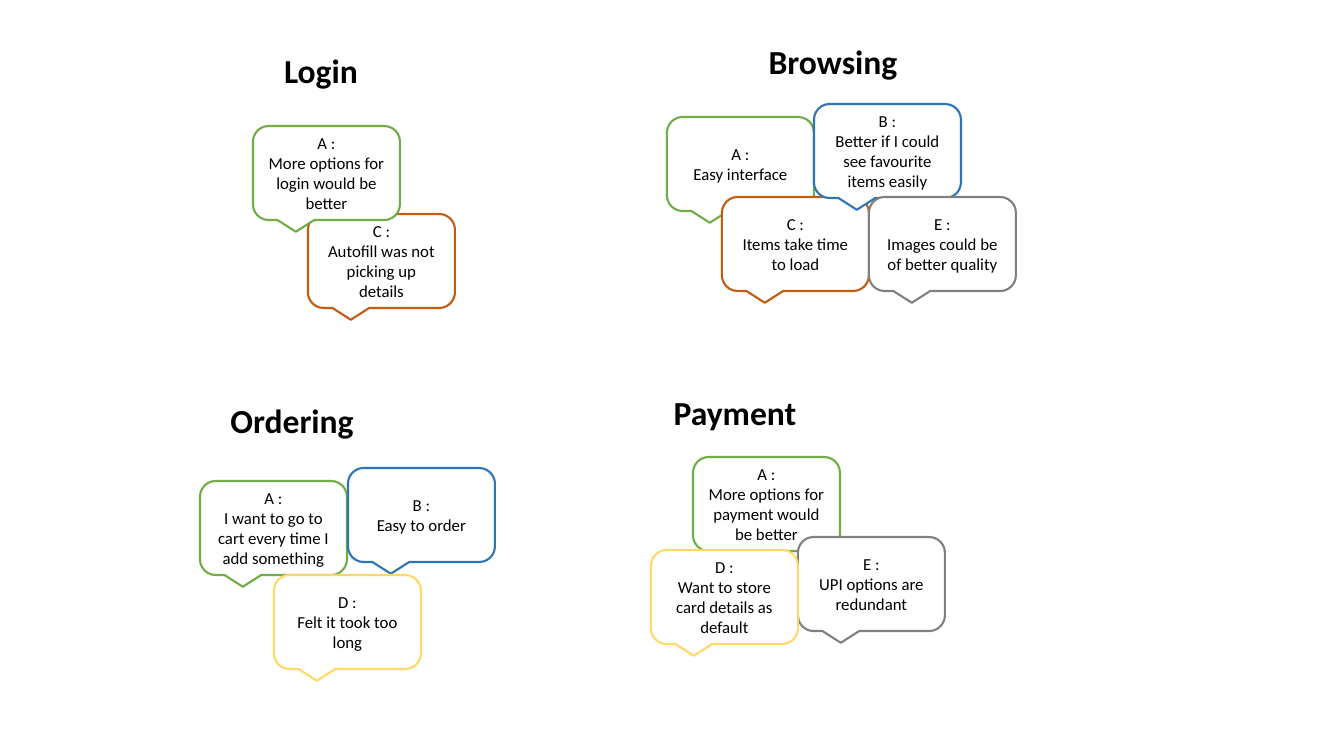
from dataclasses import dataclass

from pptx import Presentation
from pptx.dml.color import RGBColor
from pptx.enum.shapes import MSO_SHAPE
from pptx.enum.text import MSO_ANCHOR, MSO_AUTO_SIZE, PP_ALIGN
from pptx.slide import Slide
from pptx.text.text import TextFrame
from pptx.util import Emu, Pt

EMU_PER_PIXEL = 914400 / 100.8
SLIDE_SIZE = (1344, 756)
HEADING_SIZE = (156, 50)
BUBBLE_SIZE = (147, 94)


@dataclass(frozen=True)
class Theme:
    """Colours and type sizes of the slide."""
    font: str = "Calibri"
    ink: str = "000000"
    paper: str = "FFFFFF"
    heading_pt: float = 24
    comment_pt: float = 12
    outline_pt: float = 1.5


THEME = Theme()
USER_COLOURS = {"A": "70AD47", "B": "2E75B6", "C": "C55A11", "D": "FFD966", "E": "808080"}


@dataclass(frozen=True)
class Comment:
    """What one user said, and the corner of its bubble."""
    user: str
    words: str
    left: int
    top: int


@dataclass(frozen=True)
class Stage:
    """A step of the shopping journey with its comments, back to front."""
    name: str
    left: int
    top: int
    comments: tuple[Comment, ...]


STAGES = (
    Stage("Login", 243, 45, (
        Comment("C", "Autofill was not picking up details", 308, 214),
        Comment("A", "More options for login would be better", 253, 126),
    )),
    Stage("Browsing", 755, 36, (
        Comment("A", "Easy interface", 667, 117),
        Comment("C", "Items take time to load", 722, 197),
        Comment("B", "Better if I could see favourite items easily", 814, 104),
        Comment("E", "Images could be of better quality", 869, 197),
    )),
    Stage("Ordering", 214, 395, (
        Comment("A", "I want to go to cart every time I add something", 200, 481),
        Comment("B", "Easy to order", 348, 468),
        Comment("D", "Felt it took too long", 274, 575),
    )),
    Stage("Payment", 657, 387, (
        Comment("A", "More options for payment would be better", 693, 457),
        Comment("E", "UPI options are redundant", 798, 537),
        Comment("D", "Want to store card details as default", 651, 550),
    )),
)


def px(*lengths: int) -> list[Emu]:
    """Turn pixel lengths into EMU."""
    return [Emu(round(length * EMU_PER_PIXEL)) for length in lengths]


def write(frame: TextFrame, *lines: str, size: float, bold: bool = False,
          anchor: MSO_ANCHOR = MSO_ANCHOR.TOP) -> None:
    """Fill a frame with centred paragraphs."""
    frame.word_wrap = True
    frame.vertical_anchor = anchor
    for index, line in enumerate(lines):
        paragraph = frame.add_paragraph() if index else frame.paragraphs[0]
        paragraph.alignment = PP_ALIGN.CENTER
        run = paragraph.add_run()
        run.text = line
        run.font.name = THEME.font
        run.font.size = Pt(size)
        run.font.bold = bold
        run.font.color.rgb = RGBColor.from_string(THEME.ink)


def add_heading(slide: Slide, stage: Stage) -> None:
    """Put the name of a stage above its comments."""
    heading = slide.shapes.add_textbox(*px(stage.left, stage.top, *HEADING_SIZE))
    write(heading.text_frame, stage.name, size=THEME.heading_pt, bold=True)
    heading.text_frame.auto_size = MSO_AUTO_SIZE.SHAPE_TO_FIT_TEXT


def add_bubble(slide: Slide, comment: Comment) -> None:
    """Draw a speech bubble in the colour of its user."""
    bubble = slide.shapes.add_shape(MSO_SHAPE.ROUNDED_RECTANGULAR_CALLOUT,
                                    *px(comment.left, comment.top, *BUBBLE_SIZE))
    bubble.shadow.inherit = False
    bubble.fill.solid()
    bubble.fill.fore_color.rgb = RGBColor.from_string(THEME.paper)
    bubble.line.color.rgb = RGBColor.from_string(USER_COLOURS[comment.user])
    bubble.line.width = Pt(THEME.outline_pt)
    write(bubble.text_frame, f"{comment.user} :", comment.words,
          size=THEME.comment_pt, anchor=MSO_ANCHOR.MIDDLE)


def main() -> None:
    """Build and save the slide."""
    deck = Presentation()
    deck.slide_width, deck.slide_height = px(*SLIDE_SIZE)
    slide = deck.slides.add_slide(deck.slide_layouts.get_by_name("Blank"))
    for stage in STAGES:
        add_heading(slide, stage)
        for comment in stage.comments:
            add_bubble(slide, comment)
    deck.save("out.pptx")


main()
